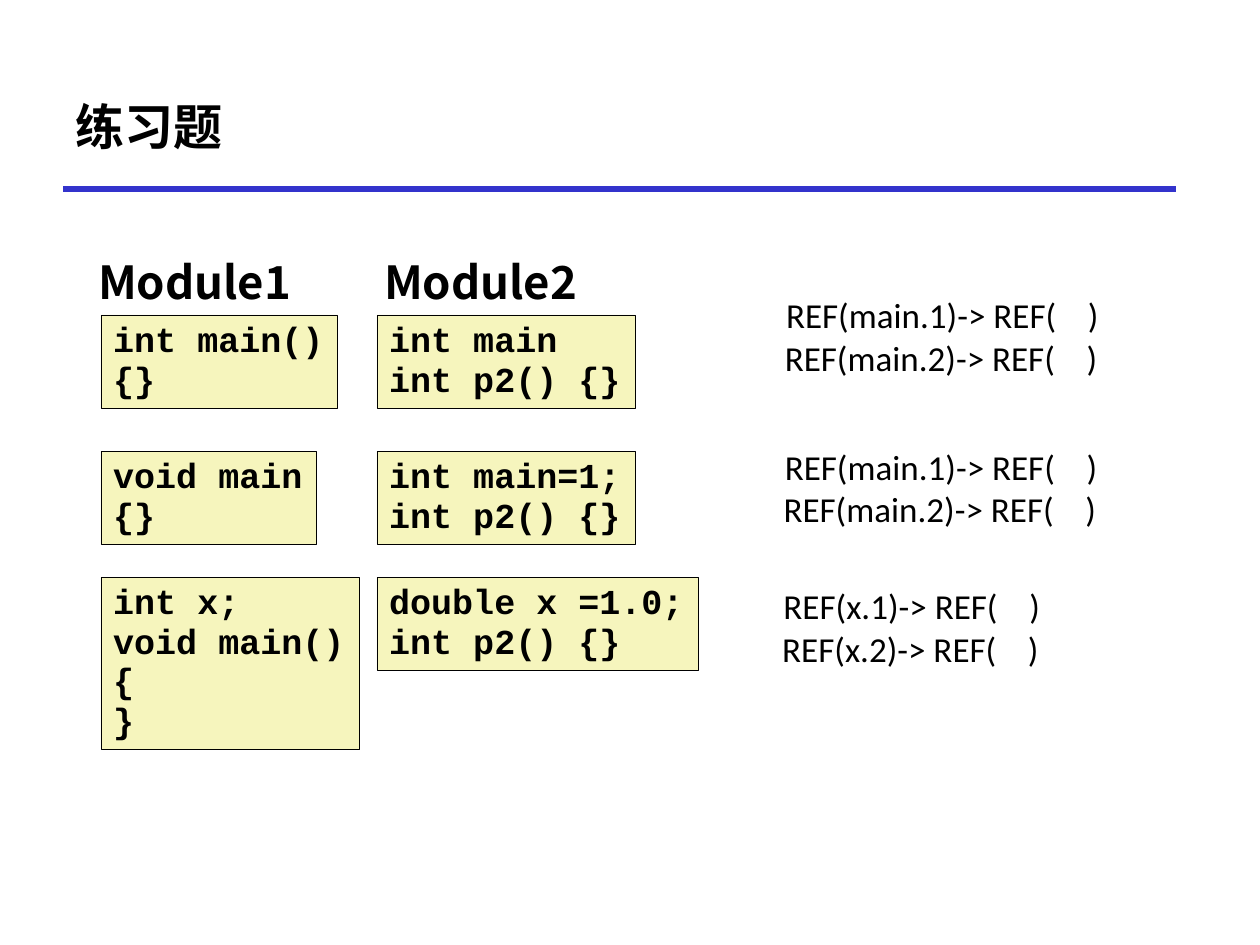
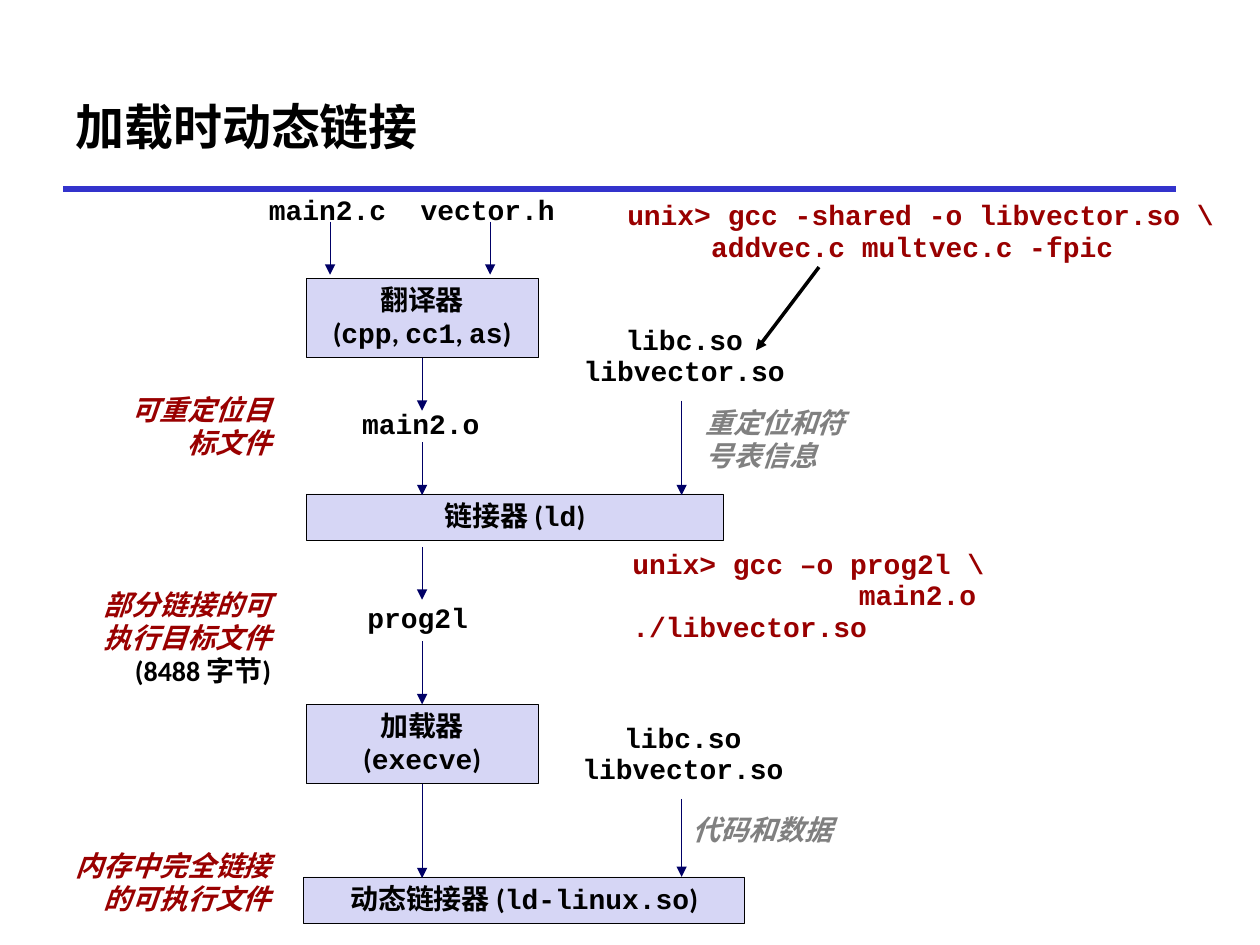
from lxml import etree
from pptx import Presentation
from pptx.dml.color import RGBColor
from pptx.enum import shapes, text
from pptx.oxml import ns
from pptx.util import Pt

PX = 9144
BLACK = RGBColor(0x00, 0x00, 0x00)
BLUE = RGBColor(0x33, 0x33, 0xCC)
NAVY = RGBColor(0x00, 0x00, 0x66)
RED = RGBColor(0x99, 0x00, 0x00)
GRAY = RGBColor(0x80, 0x80, 0x80)
CREAM = RGBColor(0xF6, 0xF5, 0xBD)
LILAC = RGBColor(0xD6, 0xD6, 0xF5)
SANS, MONO = "Calibri", "Courier New"
HEAD, CJK = "Comic Neue", "Noto Sans CJK SC"
LEFT, MID, RIGHT = text.PP_ALIGN.LEFT, text.PP_ALIGN.CENTER, text.PP_ALIGN.RIGHT
TOP, BOTTOM = 0, 2


def scale(*nums):
    return [round(n * PX) for n in nums]


def style(run, font, size, color, bold, slant):
    run.font.name = font
    run.font.size = Pt(size)
    run.font.bold = bold
    run.font.italic = slant
    run.font.color.rgb = color
    east = etree.SubElement(run.font._element, ns.qn("a:ea"))
    east.set("typeface", font)


def stop(para, pos):
    tabs = etree.SubElement(para._p.get_or_add_pPr(), ns.qn("a:tabLst"))
    tab = etree.SubElement(tabs, ns.qn("a:tab"))
    tab.set("pos", str(pos * PX))
    tab.set("algn", "l")


def write(shape, lines, font=SANS, size=16, color=BLACK, bold=True,
          slant=False, align=LEFT, space=0.98, wrap=False):
    frame = shape.text_frame
    frame.word_wrap = wrap
    frame.auto_size = text.MSO_AUTO_SIZE.SHAPE_TO_FIT_TEXT
    frame.vertical_anchor = text.MSO_ANCHOR.TOP
    for row, line in enumerate(lines):
        para = frame.add_paragraph() if row else frame.paragraphs[0]
        para.alignment = align
        para.line_spacing = space
        if "\t" in line:
            stop(para, 100)
        for spot, part in enumerate(line.split("`")):
            run = para.add_run()
            run.text = part
            style(run, MONO if spot % 2 else font, size, color, bold, slant)
    return frame


def label(slide, box, lines, **look):
    return write(slide.shapes.add_textbox(*scale(*box)), lines, **look)


def title(slide, box, line, font, size):
    frame = label(slide, box, [line], font=font, size=size, space=1.0, wrap=True)
    frame.auto_size = text.MSO_AUTO_SIZE.NONE
    frame.vertical_anchor = text.MSO_ANCHOR.MIDDLE


def code(slide, box, lines, **look):
    return label(slide, box, lines, font=MONO, space=0.94, **look)


def block(slide, box, fill):
    shape = slide.shapes.add_shape(shapes.MSO_SHAPE.RECTANGLE, *scale(*box))
    shape.shadow.inherit = False
    shape.fill.solid()
    shape.fill.fore_color.rgb = fill
    shape.line.color.rgb = BLACK
    shape.line.width = Pt(0.25)
    return shape


def stage(slide, box, lines):
    shape = block(slide, box, LILAC)
    write(shape, lines, align=MID, wrap=True)
    return shape


def rule(slide, start, end, color, width):
    line = slide.shapes.add_connector(
        shapes.MSO_CONNECTOR.STRAIGHT, *scale(*start, *end))
    line.line.color.rgb = color
    line.line.width = Pt(width)
    etree.SubElement(line._element.spPr, ns.qn("a:effectLst"))
    return line


def arrow(slide, start, end, color=NAVY, width=0.25):
    line = rule(slide, start, end, color, width)
    tip = etree.SubElement(line.line._get_or_add_ln(), ns.qn("a:tailEnd"))
    tip.set("type", "triangle")
    return line


def page(deck, name):
    slide = deck.slides.add_slide(deck.slide_layouts[6])
    rule(slide, (50, 150), (933, 150), BLUE, 3)
    title(slide, (50, 50, 883, 100), name, HEAD, 28)
    return slide


def pair(slide, top, left, right):
    for x, (width, lines) in zip((80, 299), (left, right)):
        box = (x, top, width, 11 + 63 * len(lines) // 2)
        write(block(slide, box, CREAM), lines, font=MONO, size=20, space=0.94)


def refs(slide, x, y, width, name):
    for n in range(2):
        label(slide, (x - n, y + 34 * n, width, 50),
              [f"REF({name}.{n + 1})-> REF(    )"], size=20, bold=False)


def quiz(deck):
    slide = page(deck, "练习题")
    for x, name in ((68, "Module1"), (295, "Module2")):
        title(slide, (x, 198, 210, 50), name, CJK, 26)
    pair(slide, 250, (188, ["int main()", "{}"]),
         (205, ["int main", "int p2() {}"]))
    pair(slide, 358, (171, ["void main", "{}"]),
         (205, ["int main=1;", "int p2() {}"]))
    pair(slide, 458, (205, ["int x;", "void main()", "{", "}"]),
         (255, ["double x =1.0;", "int p2() {}"]))
    refs(slide, 614, 230, 319, "main")
    refs(slide, 613, 350, 319, "main")
    refs(slide, 612, 461, 266, "x")


def flow(slide, axis):
    tool = stage(slide, (axis - 92, 221, 184, 63),
                 ["翻译器", "(`cpp`, `cc1`, `as`)"])
    stage(slide, (axis - 92, 392, 331, 37), ["链接器 (`ld`)"])
    load = stage(slide, (axis - 92, 559, 184, 63), ["加载器", "(`execve`)"])
    stage(slide, (axis - 94, 696, 350, 37), ["动态链接器 (`ld-linux.so`)"])
    for x in (262, 389):
        arrow(slide, (x, 176), (x, 218))
    arrow(slide, (axis, 284), (axis, 326)).begin_connect(tool, BOTTOM)
    arrow(slide, (axis, 351), (axis, 393))
    arrow(slide, (axis, 434), (axis, 476))
    arrow(slide, (axis, 509), (axis, 559)).end_connect(load, TOP)
    arrow(slide, (axis, 622), (axis, 697)).begin_connect(load, BOTTOM)
    for box, name in (((203, 150, 114, 36), "main2.c"),
                      ((323, 150, 128, 36), "vector.h"),
                      ((277, 320, 114, 36), "main2.o"),
                      ((281, 474, 101, 36), "prog2l")):
        code(slide, box, [name], align=MID)


def libs(slide, x, y, drop, end, note, box):
    code(slide, (x, y, 182, 61), ["libc.so", "libvector.so"], align=MID)
    arrow(slide, (541, drop), (541, end))
    label(slide, box, [note], color=GRAY, slant=True, wrap=True)


def notes(slide, edge):
    for y, width, height, lines in (
            (308, 150, 63, ["可重定位目标文件"]),
            (463, 165, 89, ["部分链接的可执行目标文件", "(8488 字节)"]),
            (670, 183, 63, ["内存中完全链接的可执行文件"])):
        frame = label(slide, (edge - width, y, width, height), lines,
                      color=RED, slant=True, align=RIGHT, wrap=True)
        for para in frame.paragraphs[1:]:
            para.runs[0].font.italic = False
            para.runs[0].font.color.rgb = BLACK


def link(deck):
    slide = page(deck, "加载时动态链接")
    flow(slide, 335)
    libs(slide, 452, 253, 318, 393, "重定位和符号表信息", (550, 318, 150, 63))
    libs(slide, 451, 569, 634, 696, "代码和数据", (540, 641, 194, 37))
    notes(slide, 225)
    code(slide, (488, 154, 492, 61),
         ["unix> gcc -shared -o libvector.so \\",
          "     addvec.c multvec.c -fpic"], color=RED)
    arrow(slide, (650, 212), (600, 278), BLACK, 2)
    code(slide, (492, 431, 398, 86),
         ["unix> gcc –o prog2l \\", "\t      main2.o", "./libvector.so"],
         color=RED)


def main():
    deck = Presentation()
    deck.slide_width, deck.slide_height = scale(1000, 750)
    quiz(deck)
    link(deck)
    deck.save("out.pptx")


if __name__ == "__main__":
    main()
